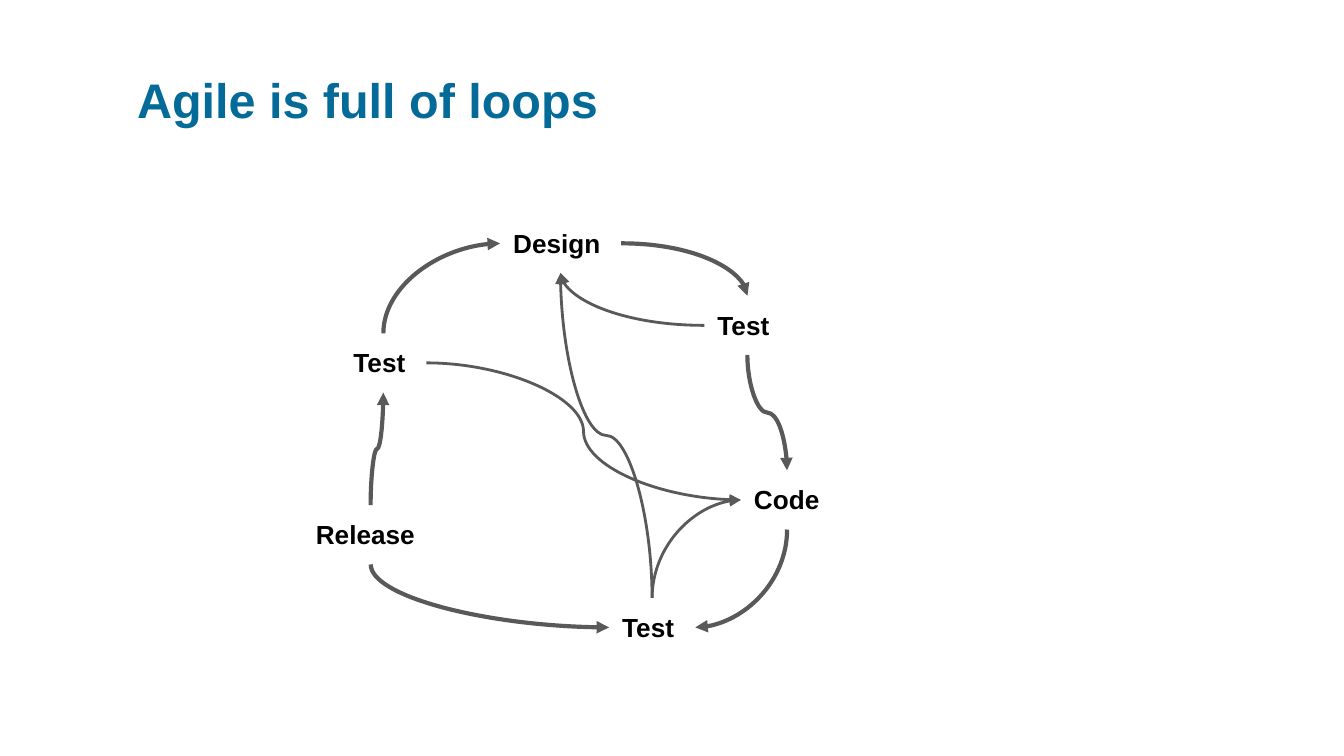
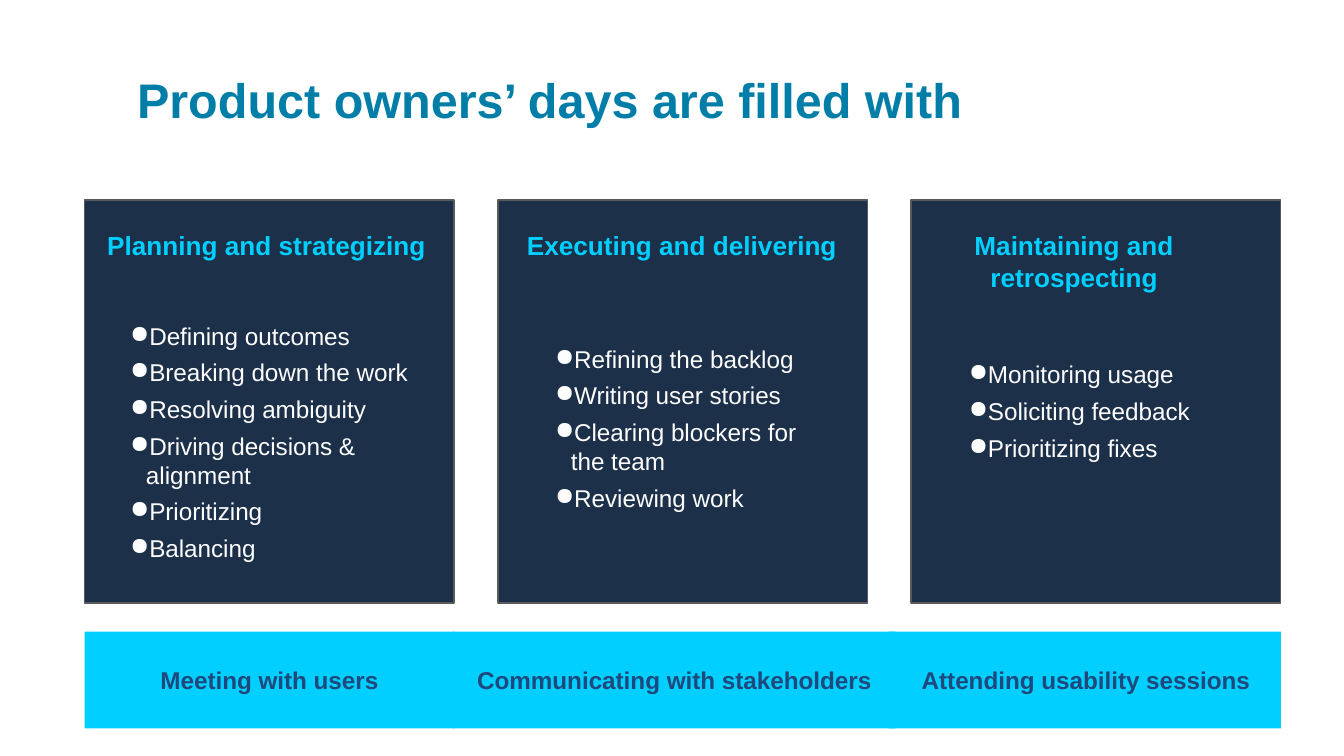
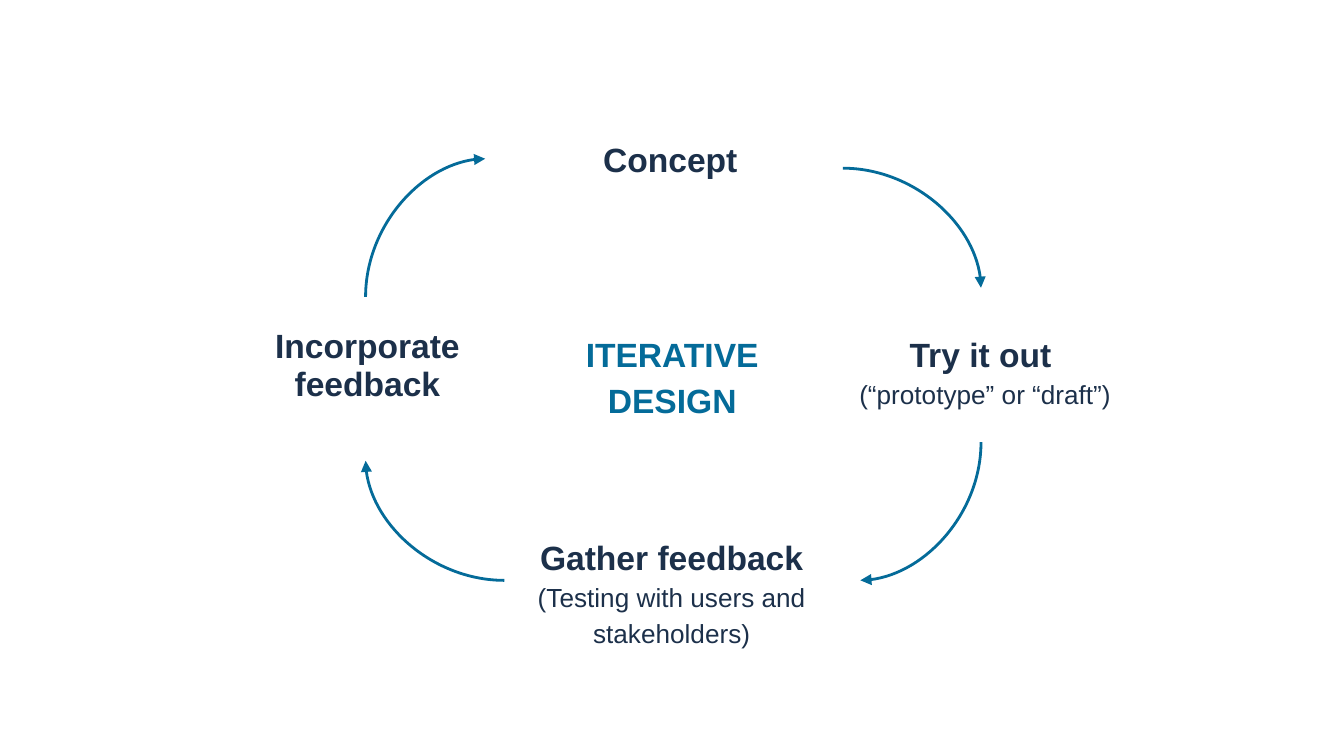
from dataclasses import dataclass
from enum import IntEnum
from typing import NamedTuple

from lxml.etree import SubElement
from pptx import Presentation
from pptx.dml.color import RGBColor
from pptx.enum.shapes import MSO_CONNECTOR as Link, MSO_SHAPE as Preset
from pptx.enum.text import MSO_ANCHOR as Anchor, MSO_AUTO_SIZE as AutoSize, PP_ALIGN as Align
from pptx.oxml.ns import qn
from pptx.util import Cm, Pt


@dataclass(frozen=True)
class Theme:
    font: str = "Arial"
    blue: str = "046B99"
    title_blue: str = "007EA8"
    navy: str = "1C304A"
    cyan: str = "00CFFF"
    band_text: str = "1F497D"
    grey: str = "595959"
    black: str = "000000"
    white: str = "FEFDFD"
    title_size: float = 26
    stage_size: float = 18
    label_size: float = 14
    list_size: float = 13
    thick: float = 2.25
    thin: float = 1.5
    outline: float = 0.75


THEME = Theme()
INSET = Cm(0.25)


class Side(IntEnum):
    TOP = 0
    LEFT = 1
    BOTTOM = 2
    RIGHT = 3

    @property
    def vertical(self) -> bool:
        return self in (Side.TOP, Side.BOTTOM)


class Point(NamedTuple):
    x: float
    y: float


class Area(NamedTuple):
    """A rectangle in centimetres."""
    left: float
    top: float
    width: float
    height: float

    def lengths(self) -> list:
        return [Cm(value) for value in self]

    def middle_of(self, side: Side) -> Point:
        across = {Side.LEFT: 0, Side.RIGHT: 1}.get(side, 0.5)
        down = {Side.TOP: 0, Side.BOTTOM: 1}.get(side, 0.5)
        return Point(self.left + across * self.width, self.top + down * self.height)


class Node(NamedTuple):
    text: str
    area: Area


class Loop(NamedTuple):
    start: str
    start_side: Side
    end: str
    end_side: Side
    weight: float


class Activity(NamedTuple):
    heading: str
    heading_area: Area
    items: list[str]
    list_area: Area


class Band(NamedTuple):
    text: str
    left: float
    width: float
    align: Align = Align.CENTER
    indent: float = 0


class Stage(NamedTuple):
    text: str
    area: Area
    detail: str = ""
    align: Align = Align.CENTER
    spacing: float = 1.15
    color: str = THEME.navy


class Arc(NamedTuple):
    start: Point
    end: Point
    starts_vertical: bool


def style_runs(para, size: float, color: str, bold: bool = False) -> None:
    for span in para.runs:
        font = span.font
        font.name, font.size, font.bold = THEME.font, Pt(size), bold
        font.color.rgb = RGBColor.from_string(color)


def prepare_frame(frame, anchor: Anchor = Anchor.TOP) -> None:
    """Set the wrapping, anchor and equal insets used by all text."""
    frame.word_wrap = True
    frame.auto_size = AutoSize.NONE
    frame.vertical_anchor = anchor
    frame.margin_left = frame.margin_right = INSET
    frame.margin_top = frame.margin_bottom = INSET


def add_label(page, text: str, area: Area, size: float, color: str,
              align: Align = Align.LEFT):
    """Add a bold text box and return its paragraph."""
    frame = page.shapes.add_textbox(*area.lengths()).text_frame
    prepare_frame(frame)
    frame.text = text
    para = frame.paragraphs[0]
    para.alignment = align
    style_runs(para, size, color, bold=True)
    return para


def add_block(page, preset: Preset, area: Area, fill: str):
    block = page.shapes.add_shape(preset, *area.lengths())
    block.shadow.inherit = False
    block.fill.solid()
    block.fill.fore_color.rgb = RGBColor.from_string(fill)
    block.line.fill.background()
    return block


def add_titled_page(deck, text: str, color: str):
    page = deck.slides.add_slide(deck.slide_layouts[5])
    title = page.shapes.title
    title.left, title.top, title.width, title.height = Area(2.34, 1.07, 20.52, 2.34).lengths()
    prepare_frame(title.text_frame)
    title.text_frame.text = text
    para = title.text_frame.paragraphs[0]
    para.alignment = Align.LEFT
    style_runs(para, THEME.title_size, color, bold=True)
    return page


def add_curve(page, start: Point, end: Point, starts_vertical: bool,
              ends_vertical: bool, color: str, weight: float) -> None:
    """Draw a curved arrow; a vertical start is a quarter turn of a horizontal one."""
    dx, dy = end.x - start.x, end.y - start.y
    width, height = (abs(dy), abs(dx)) if starts_vertical else (abs(dx), abs(dy))
    left = (start.x + end.x - width) / 2
    top = (start.y + end.y - height) / 2
    curve = page.shapes.add_connector(
        Link.CURVE, Cm(left), Cm(top), Cm(left + width), Cm(top + height))
    curve.line.color.rgb = RGBColor.from_string(color)
    curve.line.width = Pt(weight)

    properties = curve._element.spPr
    if starts_vertical:
        turn = 270 if dx > 0 else 90
    else:
        turn = 0 if dx > 0 else 180
    frame = properties.find(qn("a:xfrm"))
    frame.set("rot", str(turn * 60000))
    if starts_vertical and dx * dy > 0:
        frame.set("flipH", "1")
    if starts_vertical != ends_vertical:
        properties.find(qn("a:prstGeom")).set("prst", "curvedConnector2")
    SubElement(properties.find(qn("a:ln")), qn("a:tailEnd"), type="triangle")
    SubElement(properties, qn("a:effectLst"))


def set_indent(para, margin: float, first: float = 0):
    properties = para._p.get_or_add_pPr()
    properties.set("marL", str(Cm(margin)))
    properties.set("indent", str(Cm(first)))
    return properties


def add_bullets(page, items: list[str], area: Area) -> None:
    frame = page.shapes.add_textbox(*area.lengths()).text_frame
    prepare_frame(frame)
    frame.text = "\n".join(items)
    for index, para in enumerate(frame.paragraphs):
        properties = set_indent(para, 0.3, -0.56)
        if index:
            para.space_before = Pt(4)
        if index == len(items) - 1:
            para.space_after = Pt(4)
        bullet_color = SubElement(properties, qn("a:buClr"))
        SubElement(bullet_color, qn("a:srgbClr"), val=THEME.white)
        SubElement(properties, qn("a:buChar"), char="●")
        style_runs(para, THEME.list_size, THEME.white)


def build_agile_loops(deck) -> None:
    page = add_titled_page(deck, "Agile is full of loops", THEME.blue)
    height = 1.12
    nodes = {
        "design": Node("Design", Area(9.45, 4.04, 2.29, height)),
        "design test": Node("Test", Area(13.31, 5.59, 1.63, height)),
        "code": Node("Code", Area(14, 8.89, 1.75, height)),
        "release": Node("Release", Area(5.72, 9.55, 2.57, height)),
        "code test": Node("Test", Area(11.51, 11.3, 1.63, height)),
        "release test": Node("Test", Area(6.43, 6.3, 1.63, height)),
    }
    thick, thin = THEME.thick, THEME.thin
    loops = [
        Loop("release test", Side.TOP, "design", Side.LEFT, thick),
        Loop("design", Side.RIGHT, "design test", Side.TOP, thick),
        Loop("release", Side.TOP, "release test", Side.BOTTOM, thick),
        Loop("release", Side.BOTTOM, "code test", Side.LEFT, thick),
        Loop("code", Side.BOTTOM, "code test", Side.RIGHT, thick),
        Loop("design test", Side.BOTTOM, "code", Side.TOP, thick),
        Loop("release test", Side.RIGHT, "code", Side.LEFT, thin),
        Loop("design test", Side.LEFT, "design", Side.BOTTOM, thin),
        Loop("code test", Side.TOP, "code", Side.LEFT, thin),
        Loop("code test", Side.TOP, "design", Side.BOTTOM, thin),
    ]
    for node in nodes.values():
        add_label(page, node.text, node.area, THEME.label_size, THEME.black)
    for loop in loops:
        add_curve(page, nodes[loop.start].area.middle_of(loop.start_side),
                  nodes[loop.end].area.middle_of(loop.end_side),
                  loop.start_side.vertical, loop.end_side.vertical,
                  THEME.grey, loop.weight)


def build_owner_days(deck) -> None:
    page = add_titled_page(deck, "Product owners’ days are filled with", THEME.title_blue)
    activities = [
        Activity("Planning and strategizing", Area(1.55, 4.09, 6.98, 1.12),
                 ["Defining outcomes", "Breaking down the work", "Resolving ambiguity",
                  "Driving decisions & alignment", "Prioritizing", "Balancing"],
                 Area(2.21, 5.82, 6.2, 5.11)),
        Activity("Executing and delivering", Area(9.4, 4.09, 6.98, 1.12),
                 ["Refining the backlog", "Writing user stories",
                  "Clearing blockers for the team", "Reviewing work"],
                 Area(10.24, 6.25, 5.31, 3.71)),
        Activity("Maintaining and retrospecting", Area(17.2, 4.09, 6.2, 1.7),
                 ["Monitoring usage", "Soliciting feedback", "Prioritizing fixes"],
                 Area(18.06, 6.55, 5.31, 2.46)),
    ]
    bands = [
        Band("Meeting with users", 1.6, 6.98),
        Band("Communicating with stakeholders", 8.56, 8.36),
        Band("Attending usability sessions", 16.79, 7.42, Align.LEFT, 0.38),
    ]
    for column, activity in enumerate(activities):
        panel = add_block(page, Preset.ROUNDED_RECTANGLE,
                          Area(1.6 + column * 7.81, 3.78, 6.98, 7.62), THEME.navy)
        panel.adjustments[0] = 0
        panel.line.color.rgb = RGBColor.from_string(THEME.grey)
        panel.line.width = Pt(THEME.outline)
        add_label(page, activity.heading, activity.heading_area,
                  THEME.label_size, THEME.cyan, Align.CENTER)
        add_bullets(page, activity.items, activity.list_area)
    for band in bands:
        block = add_block(page, Preset.RECTANGLE,
                          Area(band.left, 11.94, band.width, 1.83), THEME.cyan)
        prepare_frame(block.text_frame, Anchor.MIDDLE)
        block.text_frame.text = band.text
        para = block.text_frame.paragraphs[0]
        para.alignment = band.align
        set_indent(para, band.indent)
        style_runs(para, THEME.list_size, THEME.band_text, bold=True)


def build_iterative_design(deck) -> None:
    page = deck.slides.add_slide(deck.slide_layouts[6])
    stages = [
        Stage("Concept", Area(11.15, 2.26, 3.12, 1.27), align=Align.LEFT),
        Stage("Try it out \v", Area(15.52, 5.94, 6.2, 2.01), "(“prototype” or “draft”)"),
        Stage("Gather feedback ", Area(9.47, 9.78, 6.45, 2.69),
              "(Testing with users and stakeholders)"),
        Stage("Incorporate feedback", Area(4.24, 5.94, 5.41, 2.01), spacing=0.95),
        Stage("ITERATIVE DESIGN", Area(10.52, 5.94, 4.37, 2.51), color=THEME.blue),
    ]
    arcs = [
        Arc(Point(15.93, 3.18), Point(18.54, 5.44), False),
        Arc(Point(18.54, 8.36), Point(16.26, 10.97), True),
        Arc(Point(9.53, 10.97), Point(6.91, 8.71), False),
        Arc(Point(6.91, 5.61), Point(9.17, 3), True),
    ]
    for stage in stages:
        para = add_label(page, stage.text, stage.area, THEME.stage_size,
                         stage.color, stage.align)
        para.line_spacing = stage.spacing
        if stage.detail:
            span = para.add_run()
            span.text = stage.detail
            span.font.name, span.font.size = THEME.font, Pt(THEME.label_size)
            span.font.color.rgb = RGBColor.from_string(stage.color)
    for arc in arcs:
        add_curve(page, arc.start, arc.end, arc.starts_vertical,
                  not arc.starts_vertical, THEME.blue, THEME.thin)


def main() -> None:
    deck = Presentation()
    deck.slide_width, deck.slide_height = Cm(25.4), Cm(14.29)
    build_agile_loops(deck)
    build_owner_days(deck)
    build_iterative_design(deck)
    deck.save("out.pptx")


if __name__ == "__main__":
    main()
